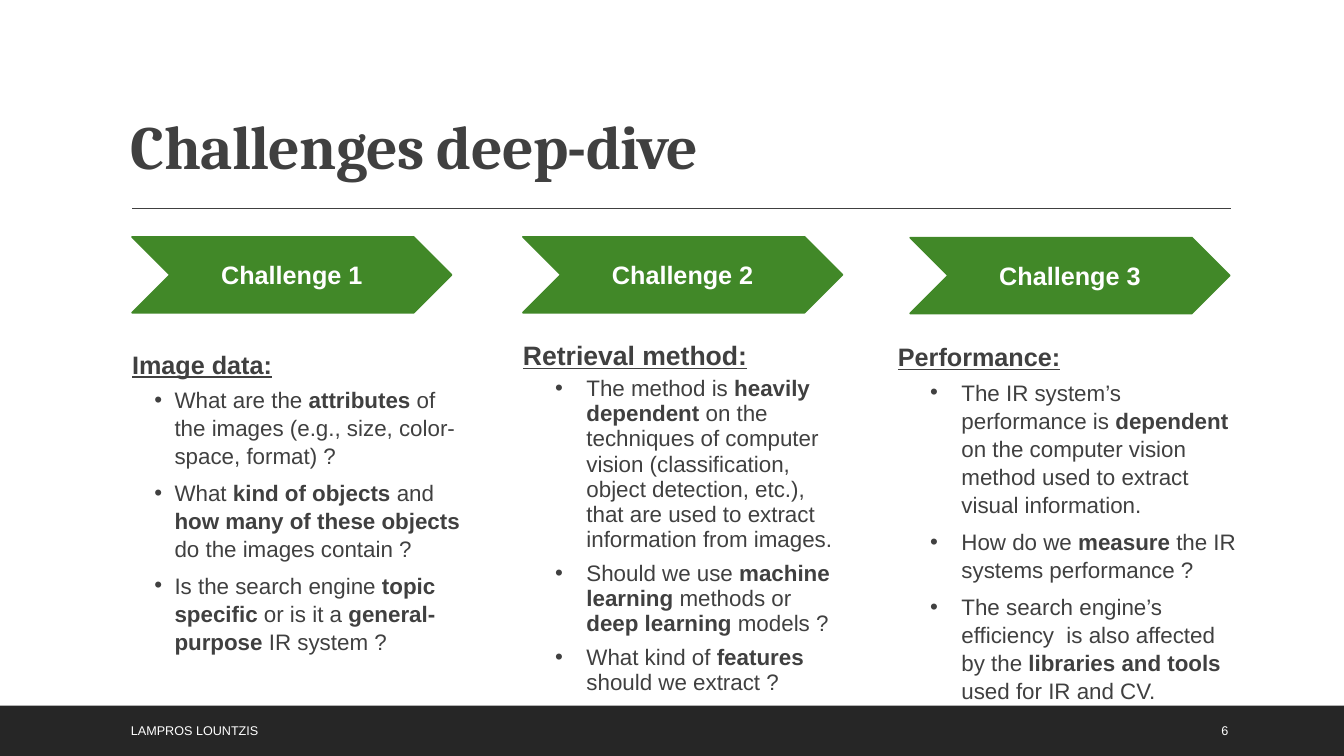
from dataclasses import dataclass

from lxml import etree
from pptx import Presentation
from pptx.dml.color import RGBColor
from pptx.enum.shapes import MSO_CONNECTOR, MSO_SHAPE
from pptx.enum.text import MSO_ANCHOR, PP_ALIGN
from pptx.oxml.ns import qn
from pptx.util import Cm, Pt

RECT = MSO_SHAPE.RECTANGLE
CHEVRON = MSO_SHAPE.CHEVRON
STRAIGHT = MSO_CONNECTOR.STRAIGHT
TOP, MIDDLE, BOTTOM = MSO_ANCHOR.TOP, MSO_ANCHOR.MIDDLE, MSO_ANCHOR.BOTTOM
CENTER = PP_ALIGN.CENTER


@dataclass(frozen=True)
class Theme:
    """Colours, fonts and type sizes."""
    ink: RGBColor = RGBColor(0x40, 0x40, 0x40)
    green: RGBColor = RGBColor(0x41, 0x88, 0x28)
    dark: RGBColor = RGBColor(0x26, 0x26, 0x26)
    white: RGBColor = RGBColor(0xFF, 0xFF, 0xFF)
    serif: str = "Cambria"
    sans: str = "Arial"
    title: int = 44
    label: int = 18
    body: int = 16
    small: int = 9


@dataclass(frozen=True)
class Topic:
    """One challenge: its arrow, text box, spacing and wording."""
    arrow: tuple
    box: tuple
    head: str
    size: int
    lead: float
    pitch: float
    indent: float
    hang: float
    points: tuple


THEME = Theme()
WIDTH, HEIGHT = 33.87, 19.05
ARROW = (8.05, 1.91)

TOPICS = (
    Topic((3.33, 5.97), (3.33, 8.59, 8.43, 9.42), "Image data:", 18, 1.1, 1.05, 1.07, 0.51, (
        "What are the *attributes* of the images (e.g., size, color-space, format) ?",
        "What *kind of objects *and* how many of these objects *do the images contain ?",
        "Is the search engine *topic specific* or is it a *general-purpose* IR system ?")),
    Topic((13.18, 5.97), (13.18, 8.41, 8.1, 9.5), "Retrieval method:", 19, 1.0, 0.94, 1.6, 0.79, (
        "The method is *heavily dependent* on the techniques of computer vision "
        "(classification, object detection, etc.), that are used to extract "
        "information from images.",
        "Should we use *machine learning* methods or *deep learning* models ?",
        "What kind of *features* should we extract ?")),
    Topic((22.94, 5.99), (22.63, 8.41, 8.69, 9.45), "Performance:", 18, 1.1, 1.05, 1.6, 0.79, (
        "The IR system’s performance is *dependent* on the computer vision "
        "method used to extract visual information.",
        "How do we *measure* the IR systems performance ?",
        "The search engine’s efficiency  is also affected by the "
        "*libraries and tools* used for IR and CV.")),
)


def add_run(para, text, size, color, bold=False, face=THEME.sans):
    """Add one styled run and return it."""
    run = para.add_run()
    run.text = text
    font = run.font
    font.name, font.size, font.bold = face, Pt(size), bold
    font.color.rgb = color
    return run


def add_box(slide, box, anchor, side=0.25):
    """Add a wrapping text box and return its frame."""
    frame = slide.shapes.add_textbox(*map(Cm, box)).text_frame
    frame.word_wrap = True
    frame.vertical_anchor = anchor
    frame.margin_left = frame.margin_right = Cm(side)
    return frame


def add_block(slide, kind, box, color):
    """Add a filled shape without a shadow."""
    shape = slide.shapes.add_shape(kind, *map(Cm, box))
    shape.shadow.inherit = False
    shape.fill.solid()
    shape.fill.fore_color.rgb = color
    shape.line.color.rgb = color
    shape.line.width = Pt(1.25)
    return shape


def space(para, lead, before, after):
    """Set line and paragraph spacing."""
    para.line_spacing = lead
    para.space_before, para.space_after = Pt(before), Pt(after)


def add_title(slide, box):
    """Place the title and the rule below it."""
    left, top, width, height = box
    para = add_box(slide, box, BOTTOM).paragraphs[0]
    para.line_spacing = 0.9
    run = add_run(para, "Challenges deep-dive", THEME.title, THEME.ink, True, THEME.serif)
    run.font._element.set("spc", "-50")
    start, y = left + 0.28, top + height + 0.53
    rule = slide.shapes.add_connector(
        STRAIGHT, Cm(start), Cm(y), Cm(left + width + 0.02), Cm(y))
    rule.line.color.rgb = THEME.ink
    rule.line.width = Pt(1)
    etree.SubElement(rule._element.spPr, qn("a:effectLst"))


def add_arrow(slide, box, text):
    """Place a chevron with its label."""
    frame = add_block(slide, CHEVRON, box, THEME.green).text_frame
    frame.vertical_anchor = MIDDLE
    para = frame.paragraphs[0]
    para.alignment = CENTER
    add_run(para, text, THEME.label, THEME.white, True)


def add_point(frame, topic, text):
    """Add a bullet whose starred parts are bold."""
    para = frame.add_paragraph()
    para.level = 1
    space(para, topic.pitch, 2, 4)
    props = para._p.get_or_add_pPr()
    props.set("marL", str(Cm(topic.indent)))
    props.set("indent", str(-Cm(topic.hang)))
    etree.SubElement(props, qn("a:buFont")).set("typeface", THEME.sans)
    etree.SubElement(props, qn("a:buChar")).set("char", "•")
    for i, part in enumerate(text.split("*")):
        add_run(para, part, THEME.body, THEME.ink, i % 2 == 1)


def add_topic(slide, box, topic):
    """Place an underlined heading and its bullets."""
    frame = add_box(slide, box, TOP, 0)
    para = frame.paragraphs[0]
    space(para, topic.lead, 12, 2)
    add_run(para, topic.head, topic.size, THEME.ink, True).font.underline = True
    for text in topic.points:
        add_point(frame, topic, text)


def add_footer(slide, box):
    """Place the dark band with the author and page number."""
    add_block(slide, RECT, box, THEME.dark).line.fill.background()
    top = box[1] + 0.13
    for left, width, text in ((3.05, 18.95, "LAMPROS LOUNTZIS"), (30.53, 2.16, "6")):
        frame = add_box(slide, (left, top, width, 1.02), MIDDLE)
        add_run(frame.paragraphs[0], text, THEME.small, THEME.white)


def main():
    """Build and save the slide."""
    deck = Presentation()
    deck.slide_width, deck.slide_height = Cm(WIDTH), Cm(HEIGHT)
    slide = deck.slides.add_slide(deck.slide_layouts[6])
    add_title(slide, (3.05, 0.69, 27.94, 4.04))
    add_footer(slide, (0, 17.78, WIDTH, 1.27))
    for i, topic in enumerate(TOPICS, 1):
        add_arrow(slide, topic.arrow + ARROW, f"Challenge {i}")
        add_topic(slide, topic.box, topic)
    deck.save("out.pptx")


if __name__ == "__main__":
    main()
